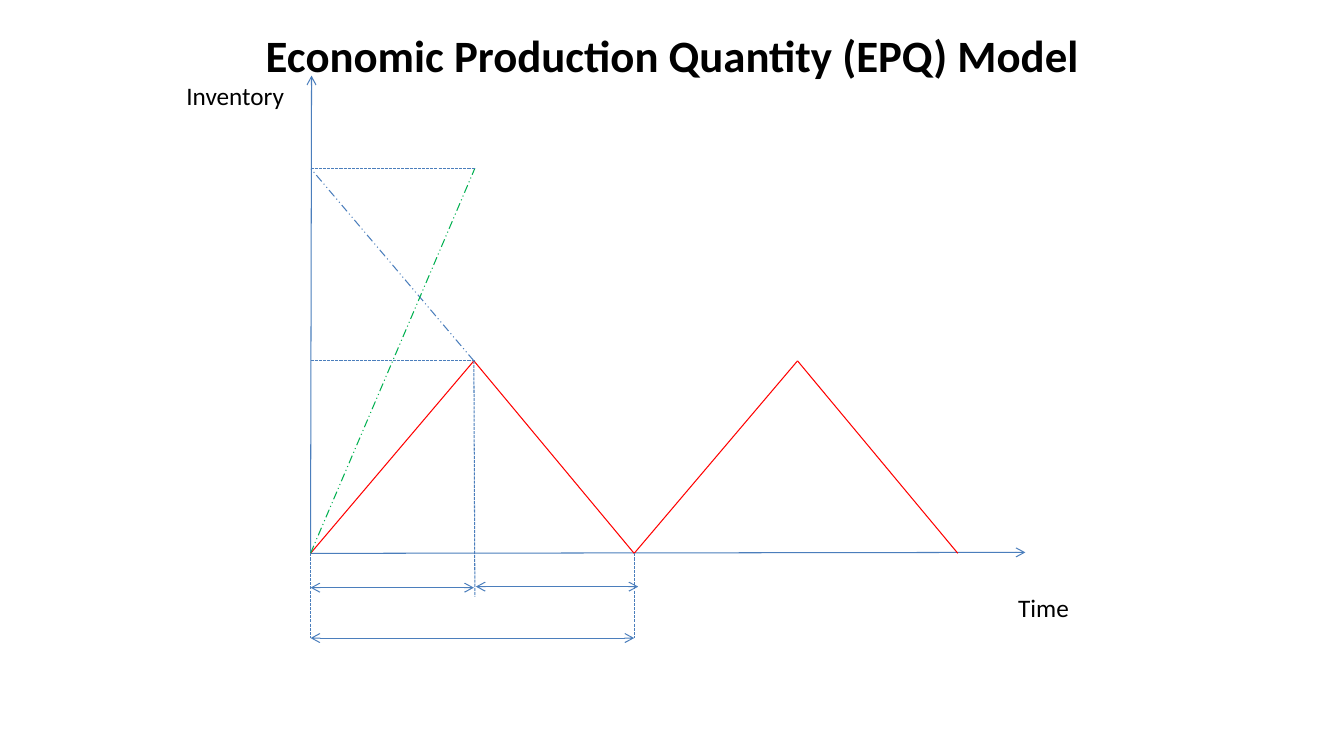
from dataclasses import dataclass
from typing import Optional

from lxml.etree import SubElement
from pptx import Presentation
from pptx.dml.color import RGBColor
from pptx.enum.dml import MSO_LINE
from pptx.enum.shapes import MSO_CONNECTOR
from pptx.enum.text import MSO_ANCHOR as Anchor, MSO_AUTO_SIZE as AutoSize, PP_ALIGN as Align
from pptx.oxml.ns import qn
from pptx.util import Inches, Pt

BLUE, RED, GREEN, BLACK = "4B7EBC", "FF0000", "00B050", "000000"
DASHED, DASH_DOT = MSO_LINE.SQUARE_DOT, MSO_LINE.DASH_DOT_DOT

# Chart coordinates in inches
START, PEAK, CYCLE_END, NEXT_PEAK, NEXT_END = 3.08, 4.7, 6.29, 7.91, 9.5
BASE, MAX_LEVEL, FULL_LOT = 5.49, 3.58, 1.67
PHASE_ROW, CYCLE_ROW = 5.83, 6.33


@dataclass
class Line:
    begin: tuple[float, float]
    end: tuple[float, float]
    color: str = BLUE
    dash: Optional[MSO_LINE] = None
    arrows: tuple[str, ...] = ()


@dataclass
class Label:
    text: str
    left: float
    top: float
    width: float
    height: float
    size: int = 18
    title: bool = False


AXIS, SPAN = ("tailEnd",), ("headEnd", "tailEnd")
INVENTORY_PATH = [(START, BASE), (PEAK, MAX_LEVEL), (CYCLE_END, BASE),
                  (NEXT_PEAK, MAX_LEVEL), (NEXT_END, BASE)]

LINES = [
    # Axes
    Line((START, BASE), (3.09, 0.75), arrows=AXIS),
    Line((START, BASE), (10.17, 5.48), arrows=AXIS),
    # Inventory level over two cycles
    *(Line(begin, end, RED) for begin, end in zip(INVENTORY_PATH, INVENTORY_PATH[1:])),
    # Production and demand rates
    Line((PEAK, MAX_LEVEL), (START, FULL_LOT), dash=DASH_DOT),
    Line((START, BASE), (4.71, FULL_LOT), GREEN, DASH_DOT),
    # Guides
    Line((START, FULL_LOT), (4.71, FULL_LOT), dash=DASHED),
    Line((START, MAX_LEVEL), (4.71, MAX_LEVEL), dash=DASHED),
    Line((PEAK, MAX_LEVEL), (4.71, 5.92), dash=DASHED),
    Line((CYCLE_END, BASE), (CYCLE_END, CYCLE_ROW), dash=DASHED),
    Line((START, BASE), (START, CYCLE_ROW), dash=DASHED),
    # Time spans
    Line((START, PHASE_ROW), (PEAK, PHASE_ROW), arrows=SPAN),
    Line((4.72, 5.82), (6.33, 5.82), arrows=SPAN),
    Line((START, CYCLE_ROW), (CYCLE_END, CYCLE_ROW), arrows=SPAN),
]

LABELS = [
    Label("Economic Production Quantity (EPQ) Model", 2.17, -0.08, 9, 1.25, 32, True),
    Label("Inventory", 1.75, 0.75, 1.18, 0.4),
    Label("Time", 10, 5.83, 0.71, 0.4),
]


def rgb(color: str) -> RGBColor:
    return RGBColor.from_string(color)


def draw_line(slide, line: Line) -> None:
    connector = slide.shapes.add_connector(
        MSO_CONNECTOR.STRAIGHT, *(Inches(value) for value in line.begin + line.end))
    connector.line.color.rgb = rgb(line.color)
    connector.line.width = Pt(0.75)
    if line.dash is not None:
        connector.line.dash_style = line.dash
    properties = connector._element.spPr
    for arrow in line.arrows:
        SubElement(properties.find(qn("a:ln")), qn(f"a:{arrow}"), type="arrow")
    SubElement(properties, qn("a:effectLst"))


def draw_label(slide, label: Label) -> None:
    box = slide.shapes.add_textbox(Inches(label.left), Inches(label.top),
                                   Inches(label.width), Inches(label.height))
    frame = box.text_frame
    frame.text = label.text
    frame.word_wrap = label.title
    frame.auto_size = AutoSize.NONE if label.title else AutoSize.SHAPE_TO_FIT_TEXT
    frame.vertical_anchor = Anchor.MIDDLE if label.title else Anchor.TOP
    paragraph = frame.paragraphs[0]
    paragraph.alignment = Align.CENTER if label.title else Align.LEFT
    font = paragraph.runs[0].font
    font.name, font.size, font.bold = "Calibri", Pt(label.size), label.title
    font.color.rgb = rgb(BLACK)


def main() -> None:
    presentation = Presentation()
    presentation.slide_width = Inches(13.33)
    presentation.slide_height = Inches(7.5)
    slide = presentation.slides.add_slide(presentation.slide_layouts[6])
    for line in LINES:
        draw_line(slide, line)
    for label in LABELS:
        draw_label(slide, label)
    presentation.save("out.pptx")


if __name__ == "__main__":
    main()
